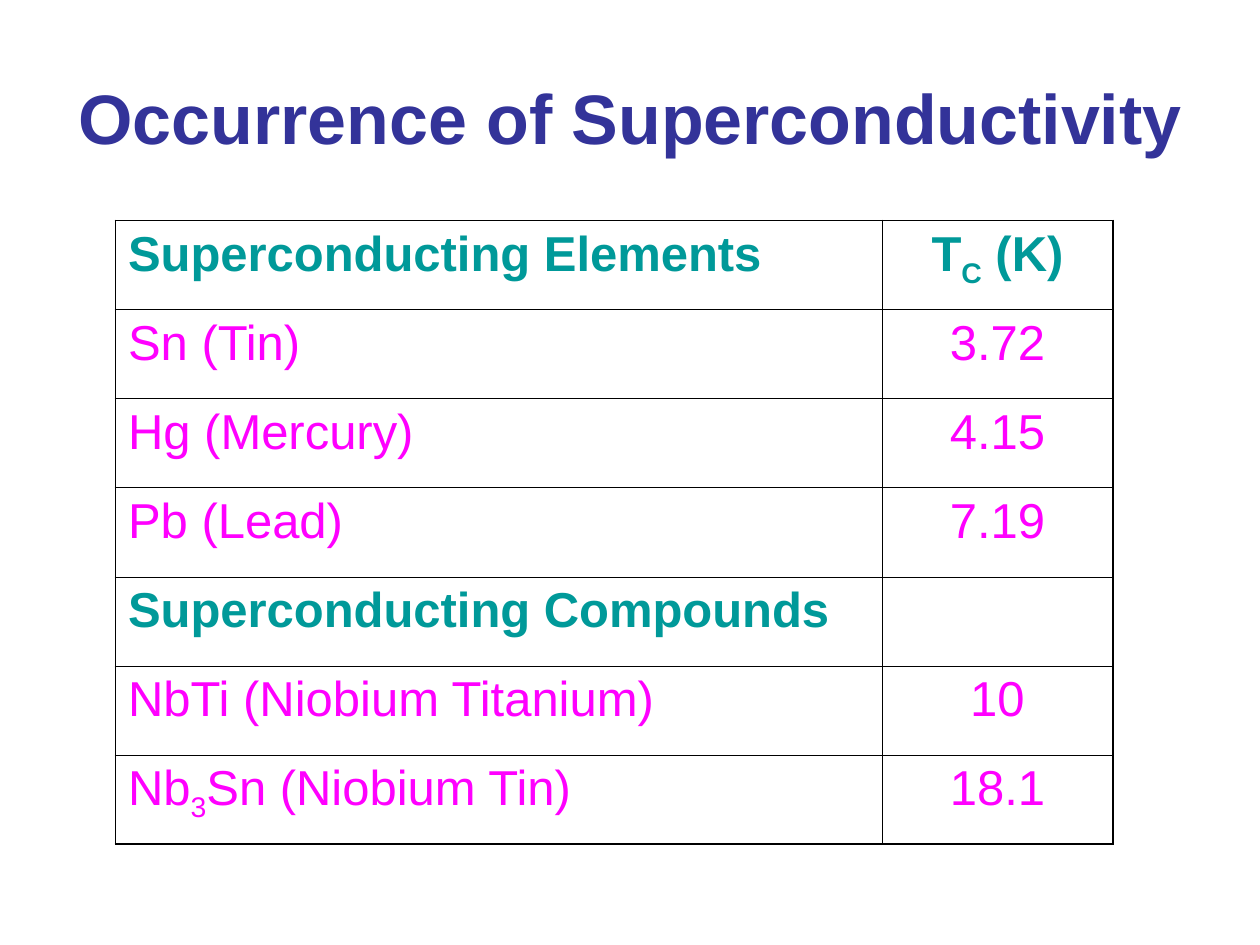
from dataclasses import dataclass

from lxml import etree
from pptx import Presentation
from pptx.dml.color import RGBColor
from pptx.enum.text import MSO_ANCHOR, MSO_AUTO_SIZE, PP_ALIGN
from pptx.oxml.ns import qn
from pptx.util import Pt

LEFT, CENTER = PP_ALIGN.LEFT, PP_ALIGN.CENTER
MIDDLE = MSO_ANCHOR.MIDDLE
NO_AUTOFIT = MSO_AUTO_SIZE.NONE
TITLE_ONLY = 5


@dataclass(frozen=True)
class Theme:
    """Fonts, type sizes, colours and rule widths of the slide."""
    font: str = "Arial"
    title_size: int = 40
    table_size: int = 28
    title: str = "333399"
    heading: str = "009999"
    entry: str = "FF00FF"
    rule: str = "000000"
    outer_rule: float = 1.08
    inner_rule: float = 0.45
    subscript: int = -25000


THEME = Theme()
COLUMN_WIDTHS = (438, 132)
COLUMN_ALIGNMENTS = (LEFT, CENTER)
HEADING_ROWS = (0, 4)
SUPERCONDUCTORS = [
    (("Superconducting Elements",), ("T", "C", " (K)")),
    (("Sn (Tin)",), ("3.72",)),
    (("Hg (Mercury)",), ("4.15",)),
    (("Pb (Lead)",), ("7.19",)),
    (("Superconducting Compounds",), ()),
    (("NbTi (Niobium Titanium)",), ("10",)),
    (("Nb", "3", "Sn (Niobium Tin)"), ("18.1",)),
]


def style_font(font, size, color, bold):
    """Apply the theme font with the given size, colour and weight."""
    for attribute, value in {"name": THEME.font, "size": Pt(size), "bold": bold}.items():
        setattr(font, attribute, value)
    font.color.rgb = RGBColor.from_string(color)


def add_title(slide, text, left, top, width, height):
    """Fill the title placeholder and move it to the given box."""
    title = slide.shapes.title
    box = {"left": left, "top": top, "width": width, "height": height}
    for attribute, value in box.items():
        setattr(title, attribute, Pt(value))
    frame = title.text_frame
    frame.text = text
    frame.auto_size = NO_AUTOFIT
    frame.vertical_anchor = MIDDLE
    heading = frame.paragraphs[0]
    heading.alignment = CENTER
    style_font(heading.runs[0].font, THEME.title_size, THEME.title, True)


def write_cell(cell, parts, alignment, color, bold):
    """Write the parts of a cell, every second one as a subscript."""
    paragraph = cell.text_frame.paragraphs[0]
    paragraph.alignment = alignment
    for position, part in enumerate(parts):
        run = paragraph.add_run()
        run.text = part
        style_font(run.font, THEME.table_size, color, bold)
        if position % 2:
            run.font._element.set("baseline", str(THEME.subscript))


def rule_cell(cell, outer_sides):
    """Draw the four borders of a cell, heavier on the outer sides."""
    properties = cell._tc.get_or_add_tcPr()
    for side, is_outer in outer_sides.items():
        width = THEME.outer_rule if is_outer else THEME.inner_rule
        line = etree.SubElement(properties, qn(f"a:ln{side}"), w=str(Pt(width)))
        fill = etree.SubElement(line, qn("a:solidFill"))
        etree.SubElement(fill, qn("a:srgbClr"), val=THEME.rule)


def add_superconductor_table(slide, left, top, height):
    """Add the ruled table of superconductors and critical temperatures."""
    row_count, column_count = len(SUPERCONDUCTORS), len(COLUMN_WIDTHS)
    table = slide.shapes.add_table(
        row_count, column_count, Pt(left), Pt(top), Pt(sum(COLUMN_WIDTHS)), Pt(height)
    ).table
    table.first_row = table.horz_banding = False
    for column, width in zip(table.columns, COLUMN_WIDTHS):
        column.width = Pt(width)
    for r, entries in enumerate(SUPERCONDUCTORS):
        table.rows[r].height = Pt(height / row_count)
        is_heading = r in HEADING_ROWS
        color = THEME.heading if is_heading else THEME.entry
        for c, parts in enumerate(entries):
            cell = table.cell(r, c)
            write_cell(cell, parts, COLUMN_ALIGNMENTS[c], color, is_heading)
            rule_cell(cell, {"L": c == 0, "R": c == column_count - 1,
                             "T": r == 0, "B": r == row_count - 1})
            cell.fill.background()


def main():
    """Build the slide and save it."""
    presentation = Presentation()
    presentation.slide_width, presentation.slide_height = Pt(720), Pt(540)
    slide = presentation.slides.add_slide(presentation.slide_layouts[TITLE_ONLY])
    add_title(slide, "Occurrence of Superconductivity", 36, 21.6, 648, 90)
    add_superconductor_table(slide, 66, 126, 356.4)
    presentation.save("out.pptx")


if __name__ == "__main__":
    main()
